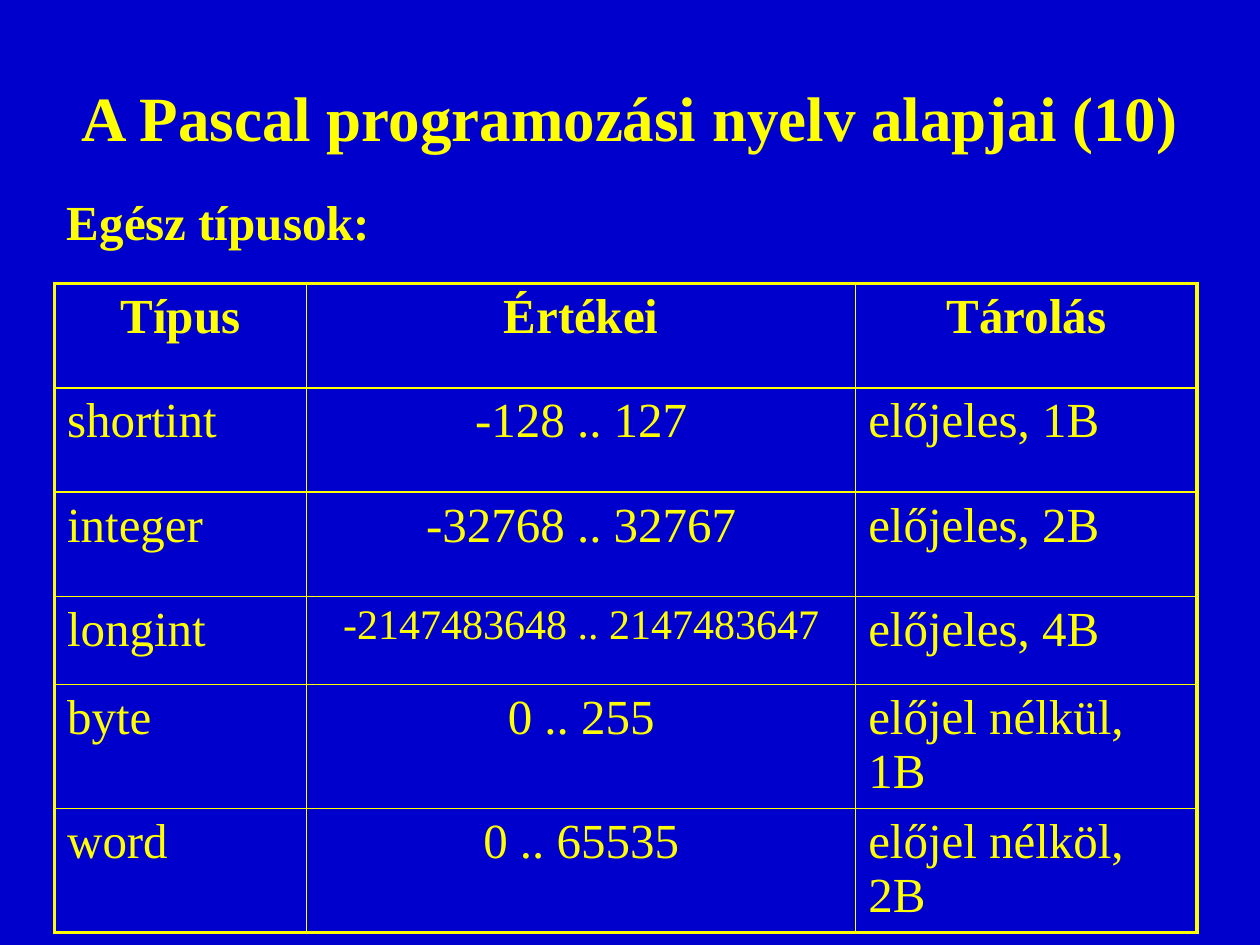
"""Build the Pascal integer types slide with its table."""
from lxml import etree
from pptx import Presentation
from pptx import util as u
from pptx.dml.color import RGBColor
from pptx.enum import text
from pptx.oxml import ns

BLUE = RGBColor(0x00, 0x00, 0xCC)
YELLOW = RGBColor(0xFF, 0xFF, 0x00)
CENTER, LEFT = text.PP_ALIGN.CENTER, text.PP_ALIGN.LEFT


def write(tf, words, size, bold, align):
    tf.word_wrap = True
    p = tf.paragraphs[0]
    p.alignment = align
    r = p.add_run()
    r.text = words
    fmt = {"name": "Times New Roman", "size": u.Pt(size), "bold": bold}
    for key, value in fmt.items():
        setattr(r.font, key, value)
    r.font.color.rgb = YELLOW


def set_borders(cell, widths):
    tc_pr = cell._tc.get_or_add_tcPr()
    for i, (side, width) in enumerate(widths.items()):
        ln = etree.Element(ns.qn(f"a:ln{side}"), w=str(u.Pt(width)))
        fill = etree.SubElement(ln, ns.qn("a:solidFill"))
        etree.SubElement(fill, ns.qn("a:srgbClr"), val=str(YELLOW))
        tc_pr.insert(i, ln)


prs = Presentation()
prs.slide_width, prs.slide_height = u.Cm(25.4), u.Cm(19.05)
s = prs.slides.add_slide(prs.slide_layouts[6])
s.background.fill.solid()
s.background.fill.fore_color.rgb = BLUE

title = s.shapes.add_textbox(u.Cm(1.27), u.Cm(0.76), u.Cm(22.86), u.Cm(3.18))
title.text_frame.vertical_anchor = text.MSO_ANCHOR.MIDDLE
write(title.text_frame, "A Pascal programozási nyelv alapjai (10)", 36, True, CENTER)

heading = s.shapes.add_textbox(u.Cm(1.1), u.Cm(3.73), u.Cm(11.23), u.Cm(1.27))
write(heading.text_frame, "Egész típusok:", 28, True, LEFT)

rows = [
    ("Típus", "Értékei", "Tárolás"),
    ("shortint", "-128 .. 127", "előjeles, 1B"),
    ("integer", "-32768 .. 32767", "előjeles, 2B"),
    ("longint", "-2147483648 .. 2147483647", "előjeles, 4B"),
    ("byte", "0 .. 255", "előjel nélkül, 1B"),
    ("word", "0 .. 65535", "előjel nélköl, 2B"),
]
col_widths = [5.08, 11.07, 6.88]
row_heights = [2.1, 2.1, 2.1, 1.78, 2.1, 2.1]
last_row, last_col = len(rows) - 1, len(col_widths) - 1

table = s.shapes.add_table(
    len(rows), len(col_widths), u.Cm(1.1), u.Cm(5.72),
    u.Cm(sum(col_widths)), u.Cm(sum(row_heights))).table
table.horz_banding = False
for col, width in zip(table.columns, col_widths):
    col.width = u.Cm(width)
for row, height in zip(table.rows, row_heights):
    row.height = u.Cm(height)

for i, values in enumerate(rows):
    for j, value in enumerate(values):
        cell = table.cell(i, j)
        cell.fill.background()
        cell.margin_bottom = u.Cm(0)
        size = 24 if len(value) > 20 else 28
        align = CENTER if i == 0 or j == 1 else LEFT
        write(cell.text_frame, value, size, i == 0, align)
        outer = {"L": j == 0, "R": j == last_col, "T": i == 0, "B": i == last_row}
        set_borders(cell, {side: 2.25 if edge else 1 for side, edge in outer.items()})

prs.save("out.pptx")
